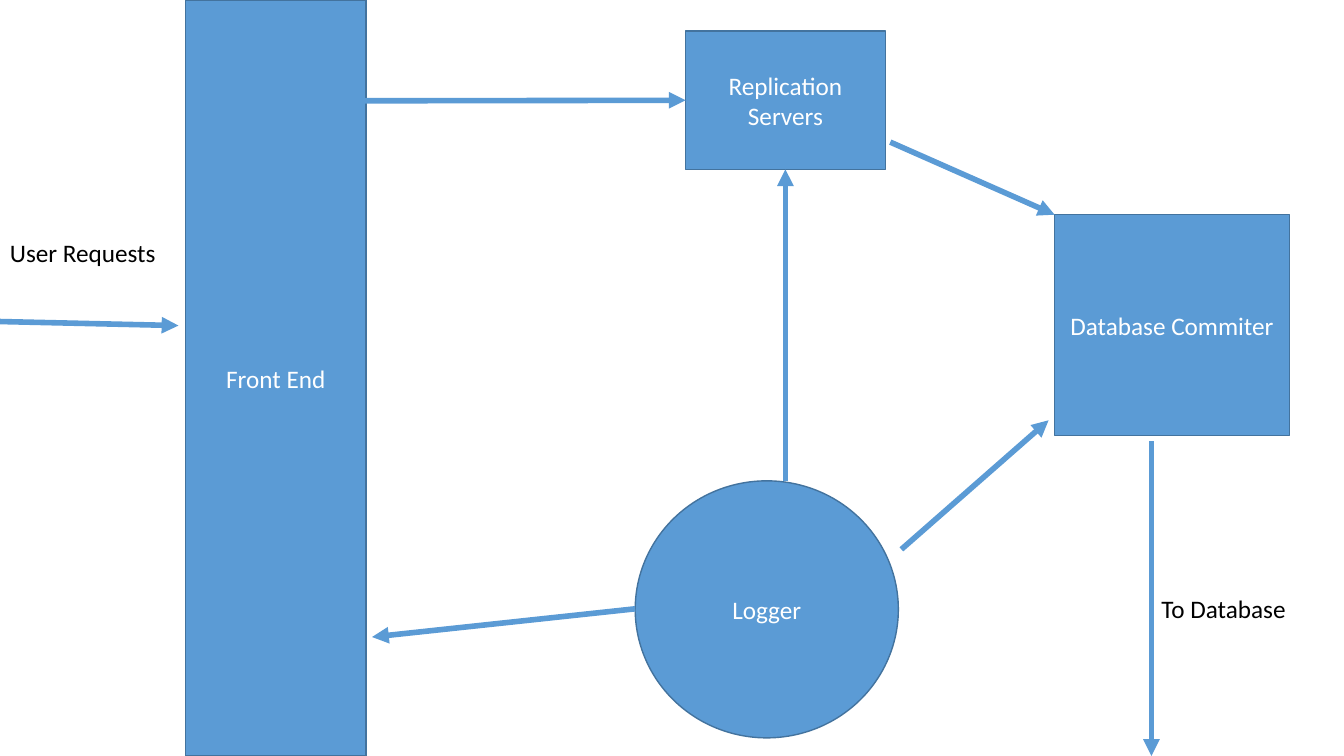
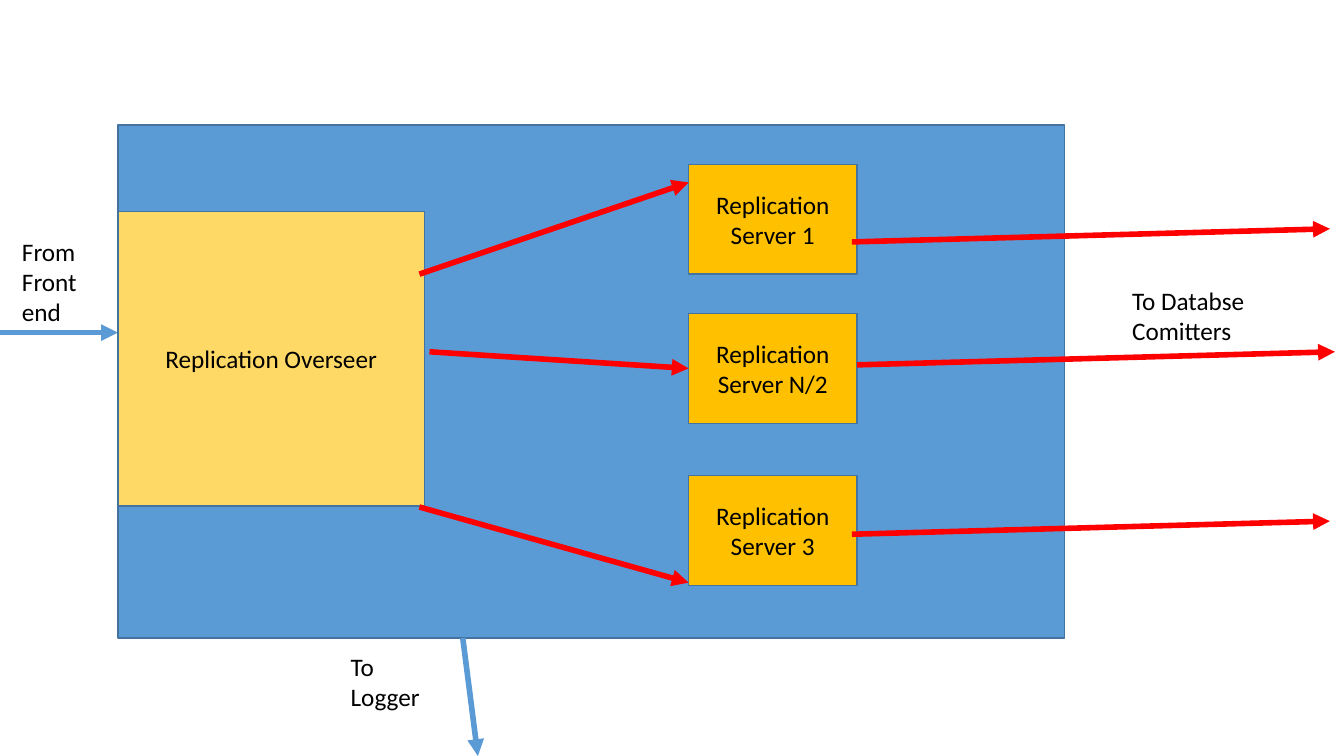
from pptx import Presentation
from pptx.dml.color import RGBColor
from pptx.enum.shapes import MSO_CONNECTOR, MSO_SHAPE
from pptx.enum.text import MSO_ANCHOR, MSO_AUTO_SIZE, PP_ALIGN
from pptx.oxml.ns import qn
from pptx.util import Inches, Pt
from lxml.etree import SubElement

BLUE = RGBColor(0x5B, 0x9B, 0xD5)
OUTLINE = RGBColor(0x43, 0x73, 0x9E)
PALE_GOLD = RGBColor(0xFF, 0xD9, 0x66)
GOLD = RGBColor(0xFF, 0xC0, 0x00)
RED = RGBColor(0xFF, 0x00, 0x00)
BLACK = RGBColor(0x00, 0x00, 0x00)
WHITE = RGBColor(0xFF, 0xFF, 0xFF)


class Diagram:
    """Holds the diagram style and the slide being drawn."""

    font = "Calibri"
    size = Pt(18)
    outline_width = Pt(1)
    arrow_width = Pt(4)

    def __init__(self, prs):
        self.prs = prs
        self.s = None

    def new_slide(self):
        self.s = self.prs.slides.add_slide(self.prs.slide_layouts[6])

    def set_text(self, tf, text, color, align):
        tf.text = text
        for p in tf.paragraphs:
            p.alignment = align
            for r in p.runs:
                r.font.name = self.font
                r.font.size = self.size
                r.font.color.rgb = color

    def box(self, x, y, w, h, text="", fill=BLUE, color=WHITE,
            kind=MSO_SHAPE.RECTANGLE):
        sp = self.s.shapes.add_shape(
            kind, Inches(x), Inches(y), Inches(w), Inches(h))
        sp.shadow.inherit = False
        sp.fill.solid()
        sp.fill.fore_color.rgb = fill
        sp.line.color.rgb = OUTLINE
        sp.line.width = self.outline_width
        if text:
            sp.text_frame.vertical_anchor = MSO_ANCHOR.MIDDLE
            self.set_text(sp.text_frame, text, color, PP_ALIGN.CENTER)
        return sp

    def label(self, x, y, w, h, text, wrap=True):
        sp = self.s.shapes.add_textbox(
            Inches(x), Inches(y), Inches(w), Inches(h))
        tf = sp.text_frame
        tf.word_wrap = wrap
        tf.auto_size = MSO_AUTO_SIZE.SHAPE_TO_FIT_TEXT
        self.set_text(tf, text, BLACK, PP_ALIGN.LEFT)

    def arrow(self, start, end, color=BLUE, target=None):
        """Draw an arrow; target is the (shape, site) its head attaches to."""
        points = [Inches(v) for v in (*start, *end)]
        cxn = self.s.shapes.add_connector(MSO_CONNECTOR.STRAIGHT, *points)
        cxn.line.color.rgb = color
        cxn.line.width = self.arrow_width
        sp_pr = cxn._element.spPr
        SubElement(sp_pr.find(qn("a:ln")), qn("a:tailEnd"), type="triangle")
        SubElement(sp_pr, qn("a:effectLst"))
        if target:
            cxn.end_connect(*target)


def draw_overview(d):
    d.new_slide()

    # Components
    d.box(1.84, 0, 1.79, 7.5, "Front End")
    d.box(6.3, 4.77, 2.61, 2.55, "Logger", kind=MSO_SHAPE.OVAL)
    replication = d.box(6.8, 0.31, 1.98, 1.37, "Replication Servers")
    d.box(10.46, 2.13, 2.33, 2.19, "Database Commiter")

    # Labels
    d.label(0, 2.31, 1.66, 0.4, "User Requests", wrap=False)
    d.label(11.42, 5.84, 1.45, 0.4, "To Database", wrap=False)

    # Data flow
    d.arrow((0, 3.19), (1.77, 3.23))
    d.arrow((3.62, 1), (6.8, 1), target=(replication, 1))
    d.arrow((6.3, 6.04), (3.69, 6.32))
    d.arrow((7.79, 4.77), (7.79, 1.69), target=(replication, 2))
    d.arrow((8.83, 1.41), (10.46, 2.13))
    d.arrow((8.94, 5.45), (10.4, 4.17))
    d.arrow((11.42, 4.38), (11.42, 7.5))


def draw_replication(d):
    d.new_slide()

    # Panel, its outside links and the overseer
    d.box(1.17, 1.24, 9.39, 5.09)
    d.arrow((0, 3.3), (1.17, 3.3))
    d.arrow((4.59, 6.33), (4.74, 7.5))
    d.box(1.17, 2.1, 3.04, 2.92, "Replication Overseer", PALE_GOLD, BLACK)

    # Servers
    server_x = 6.83
    servers = [
        d.box(server_x, y, 1.67, 1.09, f"Replication Server {name}", GOLD, BLACK)
        for name, y in (("1", 1.63), ("N/2", 3.11), ("3", 4.72))]

    # Overseer to servers
    d.arrow((4.16, 2.72), (server_x, 1.81), RED)
    d.arrow((4.26, 3.49), (server_x, 3.66), RED, target=(servers[1], 1))
    d.arrow((4.16, 5.03), (server_x, 5.78), RED)

    # Servers to committers
    for x, y in ((8.45, 2.4), (8.5, 3.62), (8.45, 5.3)):
        d.arrow((x, y), (x + 4.74, y - 0.13), RED)

    # Labels
    d.label(0.12, 2.29, 0.93, 1.01, "From Front\nend")
    d.label(3.38, 6.41, 0.93, 0.71, "To Logger")
    d.label(11.13, 2.78, 1.78, 0.71, "To Databse Comitters")


def main():
    prs = Presentation()
    prs.slide_width = Inches(13.33)
    prs.slide_height = Inches(7.5)
    d = Diagram(prs)
    draw_overview(d)
    draw_replication(d)
    prs.save("out.pptx")


if __name__ == "__main__":
    main()
